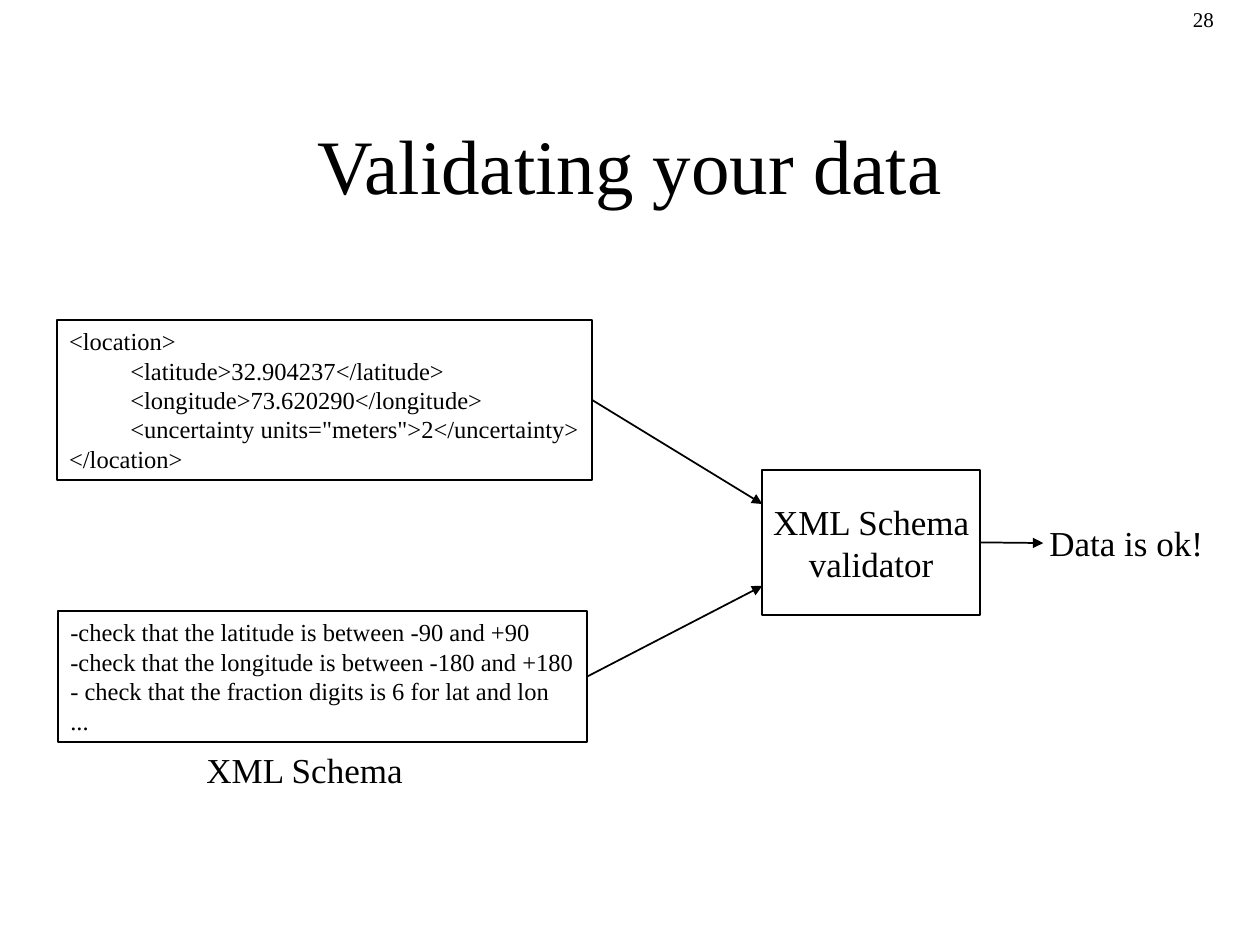
from lxml import etree
from pptx import Presentation
from pptx.dml.color import RGBColor
from pptx.enum.shapes import MSO_CONNECTOR, MSO_SHAPE
from pptx.enum.text import MSO_ANCHOR, PP_ALIGN
from pptx.oxml.ns import qn
from pptx.util import Inches, Pt

RECTANGLE = MSO_SHAPE.RECTANGLE
STRAIGHT = MSO_CONNECTOR.STRAIGHT
LEFT, CENTER = PP_ALIGN.LEFT, PP_ALIGN.CENTER
TOP, MIDDLE = MSO_ANCHOR.TOP, MSO_ANCHOR.MIDDLE
RIGHT_SIDE = 3
FONT = "Times New Roman"
COLORS = {"ink": "000000", "paper": "FFFFFF"}

LOCATION_XML = [
    "<location>",
    "          <latitude>32.904237</latitude>",
    "          <longitude>73.620290</longitude>",
    '          <uncertainty units="meters">2</uncertainty>',
    "</location>",
]
SCHEMA_CHECKS = [
    "-check that the latitude is between -90 and +90",
    "-check that the longitude is between -180 and +180",
    "- check that the fraction digits is 6 for lat and lon",
    "...",
]


def color(name):
    """Return the named colour."""
    return RGBColor.from_string(COLORS[name])


def write_lines(box, lines, size, align=LEFT, anchor=TOP, wrap=False):
    """Write one paragraph per line into a box."""
    frame = box.text_frame
    frame.word_wrap = wrap
    frame.vertical_anchor = anchor
    for index, line in enumerate(lines):
        para = frame.paragraphs[0] if index == 0 else frame.add_paragraph()
        para.alignment = align
        span = para.add_run()
        span.text = line
        span.font.name = FONT
        span.font.size = Pt(size)
        span.font.color.rgb = color("ink")


def add_label(page, place, text, size, **layout):
    """Add a line of text without an outline."""
    box = page.shapes.add_textbox(*map(Inches, place))
    write_lines(box, [text], size, **layout)


def add_box(page, place, lines, size, fill=None, **layout):
    """Add an outlined rectangle holding lines of text."""
    box = page.shapes.add_shape(RECTANGLE, *map(Inches, place))
    box.shadow.inherit = False
    if fill:
        box.fill.solid()
        box.fill.fore_color.rgb = color(fill)
    else:
        box.fill.background()
    box.line.color.rgb = color("ink")
    box.line.width = Pt(1)
    write_lines(box, lines, size, **layout)
    return box


def add_arrow(page, source, end):
    """Add an arrow from the right side of a box to a point."""
    x, y = map(Inches, end)
    arrow = page.shapes.add_connector(STRAIGHT, x, y, x, y)
    arrow.begin_connect(source, RIGHT_SIDE)
    arrow.line.color.rgb = color("ink")
    arrow.line.width = Pt(1)
    etree.SubElement(arrow.line._get_or_add_ln(), qn("a:tailEnd"), type="triangle")
    etree.SubElement(arrow._element.spPr, qn("a:effectLst"))


def main():
    """Build and save the slide."""
    deck = Presentation()
    deck.slide_width, deck.slide_height = Inches(10), Inches(7.5)
    page = deck.slides.add_slide(deck.slide_layouts[6])

    add_label(page, (9.37, 0, 0.9, 0.3), "28", 12)
    add_label(page, (0.75, 0.67, 8.5, 1.25), "Validating your data", 44,
              align=CENTER, anchor=MIDDLE, wrap=True)
    location = add_box(page, (0.45, 2.54, 4.25, 1.27), LOCATION_XML, 14)
    schema = add_box(page, (0.46, 4.85, 4.2, 1.04), SCHEMA_CHECKS, 14)
    add_label(page, (1.54, 5.89, 1.77, 0.44), "XML Schema", 20)
    validator = add_box(page, (6.05, 3.73, 1.73, 1.15), ["XML Schema", "validator"], 20,
                        fill="paper", align=CENTER, anchor=MIDDLE)
    add_arrow(page, location, (6.05, 4))
    add_arrow(page, schema, (6.05, 4.65))
    add_arrow(page, validator, (8.28, 4.31))
    add_label(page, (8.23, 4.09, 1.42, 0.44), "Data is ok!", 20)

    deck.save("out.pptx")


if __name__ == "__main__":
    main()
